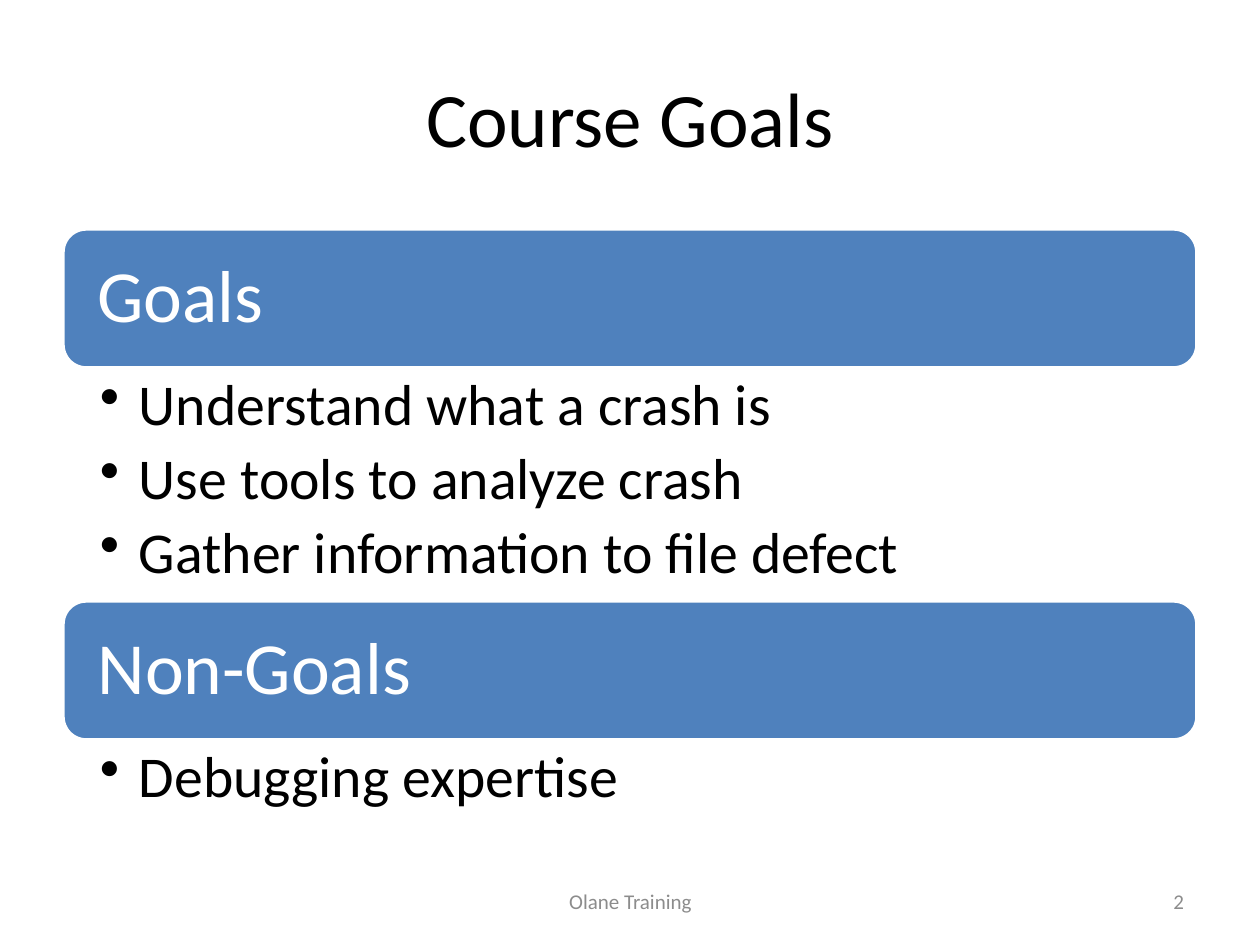
from dataclasses import dataclass

from lxml import etree
from pptx import Presentation
from pptx.dml.color import RGBColor
from pptx.enum.shapes import MSO_SHAPE
from pptx.enum.text import MSO_ANCHOR, PP_ALIGN
from pptx.oxml.ns import qn
from pptx.util import Emu, Pt

ROUNDED = MSO_SHAPE.ROUNDED_RECTANGLE
TOP, MIDDLE = MSO_ANCHOR.TOP, MSO_ANCHOR.MIDDLE
LEFT, CENTER, RIGHT = PP_ALIGN.LEFT, PP_ALIGN.CENTER, PP_ALIGN.RIGHT
EMU_PER_PIXEL = 914400 / 126


@dataclass(frozen=True)
class Theme:
    """Colours and type sizes of the slide."""
    font: str = "Calibri"
    text: str = "000000"
    accent: str = "4F81BD"
    light: str = "FFFFFF"
    muted: str = "8C8C8C"
    title_size: int = 44
    heading_size: int = 42
    bullet_size: int = 33
    footer_size: int = 12


@dataclass(frozen=True)
class Section:
    """A heading bar with the bullets below it."""
    heading: str
    bullets: tuple[str, ...]
    list_height: int


@dataclass(frozen=True)
class Footer:
    """A small text at the foot of the slide."""
    text: str
    left: int
    width: int
    align: PP_ALIGN


THEME = Theme()
MARGIN, CONTENT_WIDTH = 63, 1134
SECTIONS_TOP, BAR_HEIGHT = 229, 139
BULLET_INDENT = 39
FOOTER_TOP, FOOTER_HEIGHT = 876, 50
SECTIONS = (
    Section("Goals", ("Understand what a crash is", "Use tools to analyze crash",
                      "Gather information to file defect"), 233),
    Section("Non-Goals", ("Debugging expertise",), 96),
)
FOOTERS = (
    Footer("Olane Training", 431, 399, CENTER),
    Footer("2", 903, 294, RIGHT),
)


def px(pixels: float) -> Emu:
    """Turn pixels into EMU."""
    return Emu(round(pixels * EMU_PER_PIXEL))


def box(left: int, top: int, width: int, height: int) -> tuple[Emu, ...]:
    """Turn a pixel rectangle into EMU."""
    return px(left), px(top), px(width), px(height)


def add_bullet(paragraph) -> None:
    """Give a paragraph a hanging round bullet."""
    paragraph.level = 1
    properties = paragraph._p.get_or_add_pPr()
    properties.set("marL", str(px(BULLET_INDENT)))
    properties.set("indent", str(-px(BULLET_INDENT)))
    etree.SubElement(properties, qn("a:buChar")).set("char", "•")


def write_text(shape, *lines: str, size: int, color: str = THEME.text,
               align: PP_ALIGN = LEFT, anchor: MSO_ANCHOR = MIDDLE,
               insets: tuple[int, int, int, int] = (13, 6, 13, 6),
               spacing: float = 1.0, after: float = 0, bulleted: bool = False) -> None:
    """Fill a shape with one formatted paragraph per line."""
    frame = shape.text_frame
    frame.word_wrap = True
    frame.vertical_anchor = anchor
    (frame.margin_left, frame.margin_top,
     frame.margin_right, frame.margin_bottom) = map(px, insets)
    for index, line in enumerate(lines):
        paragraph = frame.add_paragraph() if index else frame.paragraphs[0]
        paragraph.alignment = align
        paragraph.line_spacing = spacing
        paragraph.space_after = Pt(after)
        if bulleted:
            add_bullet(paragraph)
        run = paragraph.add_run()
        run.text = line
        run.font.name = THEME.font
        run.font.size = Pt(size)
        run.font.color.rgb = RGBColor.from_string(color)


def add_title(slide, text: str) -> None:
    """Place and fill the title placeholder."""
    title = slide.shapes.title
    title.left, title.top, title.width, title.height = box(MARGIN, 38, CONTENT_WIDTH, 158)
    write_text(title, text, size=THEME.title_size, align=CENTER)


def add_section(slide, section: Section, top: int) -> int:
    """Draw a section and return the top of the next one."""
    bar = slide.shapes.add_shape(ROUNDED, *box(MARGIN, top, CONTENT_WIDTH, BAR_HEIGHT))
    bar.shadow.inherit = False
    bar.fill.solid()
    bar.fill.fore_color.rgb = RGBColor.from_string(THEME.accent)
    bar.line.color.rgb = RGBColor.from_string(THEME.light)
    bar.line.width = Pt(2)
    write_text(bar, section.heading, size=THEME.heading_size, color=THEME.light,
               insets=(28, 28, 28, 28), spacing=0.9)
    list_top = top + BAR_HEIGHT
    bullets = slide.shapes.add_textbox(
        *box(MARGIN, list_top, CONTENT_WIDTH, section.list_height))
    write_text(bullets, *section.bullets, size=THEME.bullet_size, anchor=TOP,
               insets=(37, 8, 42, 8), spacing=0.9, after=6.6, bulleted=True)
    return list_top + section.list_height


def add_footer(slide, footer: Footer) -> None:
    """Draw one footer text."""
    shape = slide.shapes.add_textbox(
        *box(footer.left, FOOTER_TOP, footer.width, FOOTER_HEIGHT))
    write_text(shape, footer.text, size=THEME.footer_size, color=THEME.muted,
               align=footer.align)


def main() -> None:
    """Build and save the slide."""
    presentation = Presentation()
    presentation.slide_width, presentation.slide_height = px(1260), px(945)
    slide = presentation.slides.add_slide(presentation.slide_layouts[5])
    add_title(slide, "Course Goals")
    top = SECTIONS_TOP
    for section in SECTIONS:
        top = add_section(slide, section, top)
    for footer in FOOTERS:
        add_footer(slide, footer)
    presentation.save("out.pptx")


main()
